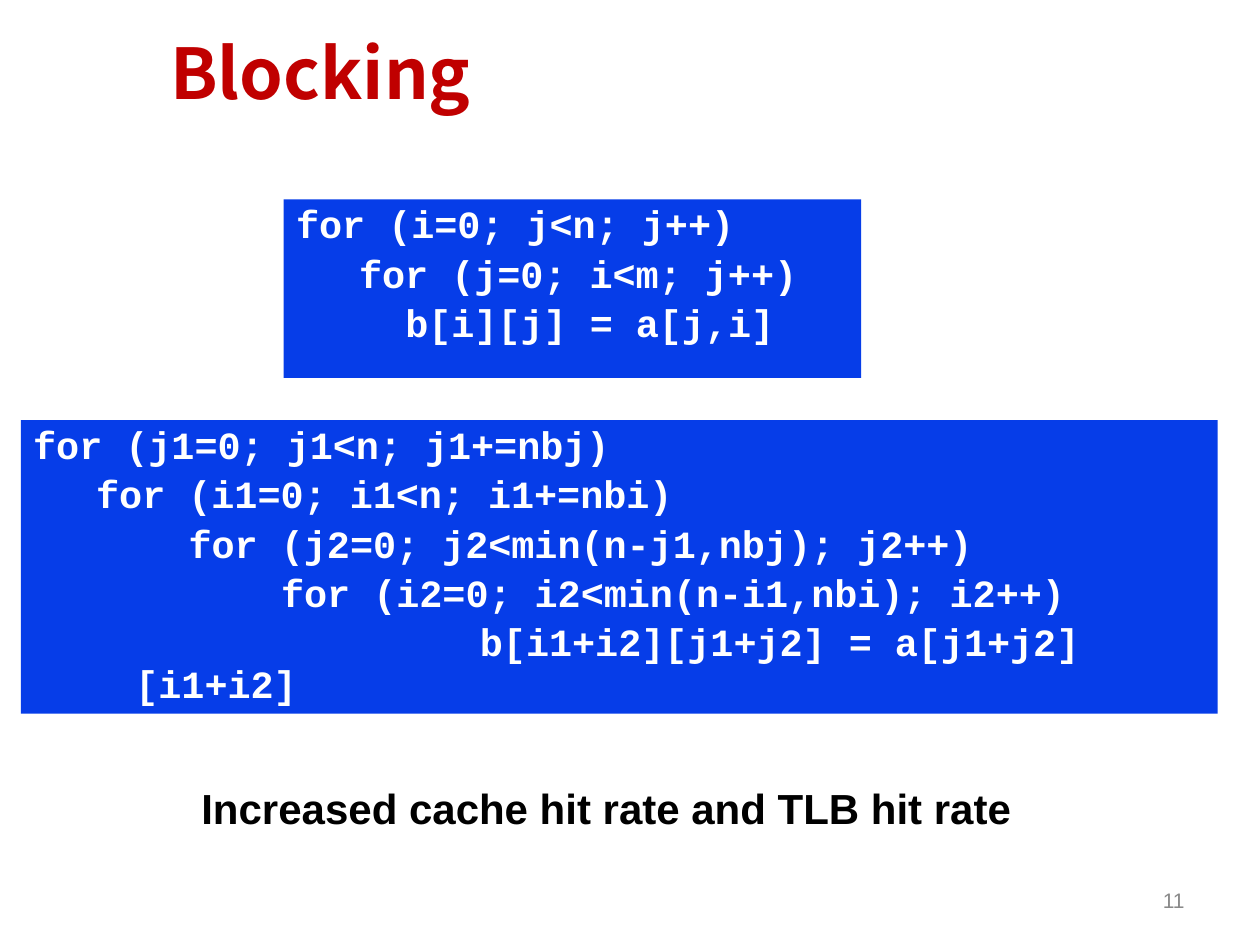
from pptx import Presentation
from pptx.dml.color import RGBColor
from pptx.enum.shapes import MSO_SHAPE as Shape
from pptx.enum.text import MSO_ANCHOR as Anchor, MSO_AUTO_SIZE as AutoSize, PP_ALIGN as Align
from pptx.util import Cm, Pt

COLORS = {"title": "C00000", "code_fill": "063DE8", "code": "FFFFFF",
          "takeaway": "000000", "number": "898989"}
CHAR = 0.466   # width of one code character in cm
NESTED = 1.27  # first-line start of nested code in cm
HANG = 2.06    # start of wrapped nested code in cm

# Each line of code: extra indent in characters (None for the outer loop), text
SIMPLE_LOOP = [
    (None, "for (i=0; j<n; j++)"),
    (0, "for (j=0; i<m; j++)"),
    (2, "b[i][j] = a[j,i]"),
]
BLOCKED_LOOP = [
    (None, "for (j1=0; j1<n; j1+=nbj)"),
    (0, "for (i1=0; i1<n; i1+=nbi)"),
    (4, "for (j2=0; j2<min(n-j1,nbj); j2++)"),
    (8, "for (i2=0; i2<min(n-i1,nbi); i2++)"),
    (16.6, "b[i1+i2][j1+j2] = a[j1+j2][i1+i2]"),
]


def style(paragraph, face, size, color, bold=False):
    """Set the font of a whole paragraph."""
    font = paragraph.font
    font.name, font.size, font.bold = face, Pt(size), bold
    font.color.rgb = RGBColor.from_string(COLORS[color])


def add_title(slide, box, text):
    """Move, fill and format the title placeholder."""
    title = slide.shapes.title
    title.left, title.top, title.width, title.height = map(Cm, box)
    frame = title.text_frame
    frame.text = text
    frame.auto_size = AutoSize.NONE
    frame.vertical_anchor = Anchor.MIDDLE
    heading = frame.paragraphs[0]
    heading.alignment = Align.LEFT
    style(heading, "Noto Sans CJK KR", 40, "title", True)


def add_code(slide, box, lines):
    """Add a filled panel with lines of code, indented by nesting."""
    panel = slide.shapes.add_shape(Shape.RECTANGLE, *map(Cm, box))
    panel.shadow.inherit = False
    panel.fill.solid()
    panel.fill.fore_color.rgb = RGBColor.from_string(COLORS["code_fill"])
    panel.line.fill.background()
    frame = panel.text_frame
    frame.word_wrap = True
    frame.vertical_anchor = Anchor.TOP
    for number, (extra, code) in enumerate(lines):
        line = frame.add_paragraph() if number else frame.paragraphs[0]
        line.text = code
        line.alignment = Align.LEFT
        line.line_spacing = 0.9
        line.space_before = Pt(4.4)
        style(line, "Courier New", 22, "code", True)
        if extra is not None:
            line.level = 1
            indents = line._p.get_or_add_pPr()
            indents.set("marL", str(int(Cm(HANG))))
            indents.set("indent", str(int(Cm(NESTED + extra * CHAR - HANG))))


def add_text(slide, box, text, size, color, bold=False, align=Align.LEFT, anchor=Anchor.TOP):
    """Add one line of plain text."""
    frame = slide.shapes.add_textbox(*map(Cm, box)).text_frame
    frame.word_wrap = True
    frame.vertical_anchor = anchor
    frame.text = text
    line = frame.paragraphs[0]
    line.alignment = align
    style(line, "Arial", size, color, bold)


def build():
    """Build and save the slide."""
    deck = Presentation()
    deck.slide_width, deck.slide_height = Cm(25.4), Cm(19.05)
    slide = deck.slides.add_slide(deck.slide_layouts[5])
    add_title(slide, (3.18, 0, 21.74, 2.9), "Blocking")
    add_text(slide, (18.2, 17.65, 5.93, 1.01), "11", 12, "number",
             align=Align.RIGHT, anchor=Anchor.MIDDLE)
    add_code(slide, (5.72, 4.02, 11.64, 3.6), SIMPLE_LOOP)
    add_code(slide, (0.42, 8.47, 24.13, 5.92), BLOCKED_LOOP)
    add_text(slide, (3.81, 15.65, 17.35, 1.28),
             "Increased cache hit rate and TLB hit rate", 24, "takeaway", True)
    deck.save("out.pptx")


build()
